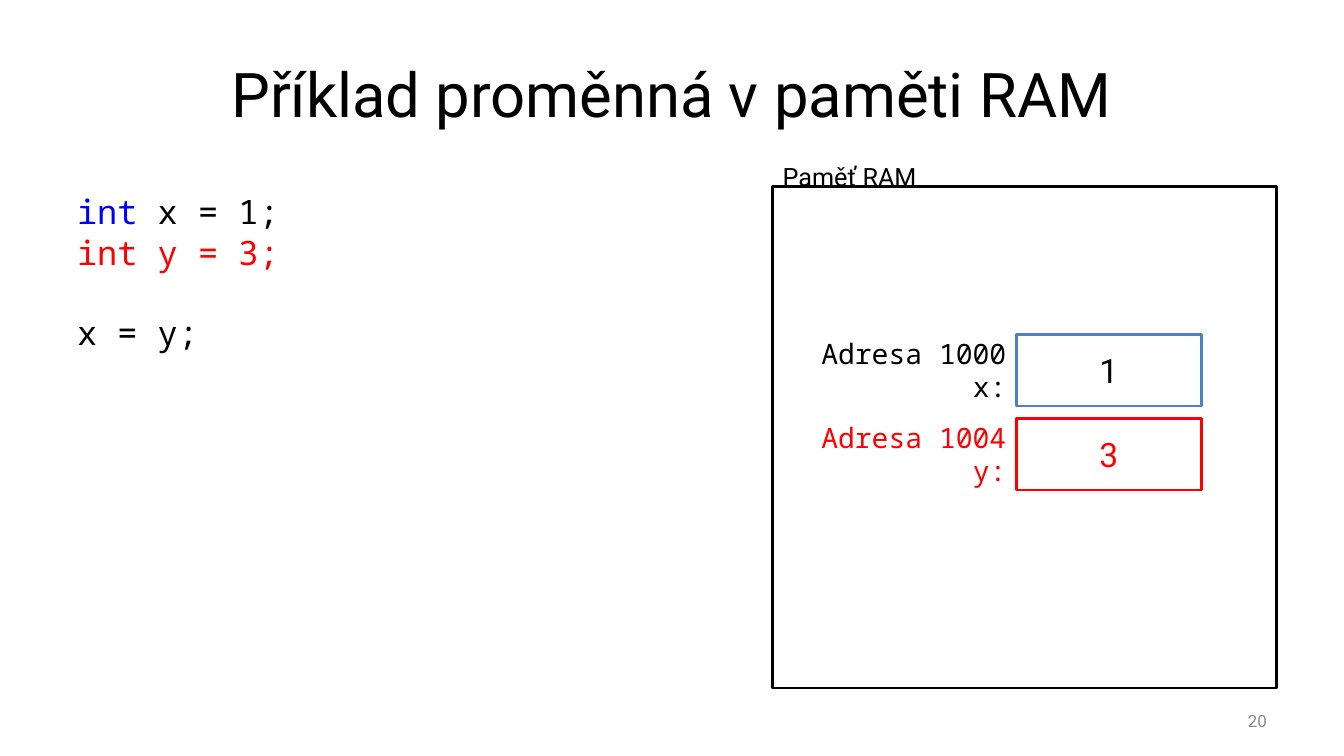
from dataclasses import dataclass
from typing import NamedTuple

from pptx import Presentation
from pptx.dml.color import RGBColor
from pptx.enum.shapes import MSO_SHAPE
from pptx.enum.text import MSO_ANCHOR, PP_ALIGN
from pptx.shapes.autoshape import Shape
from pptx.slide import Slide
from pptx.util import Pt

RECT = MSO_SHAPE.RECTANGLE
TOP, MIDDLE = MSO_ANCHOR.TOP, MSO_ANCHOR.MIDDLE
LEFT, CENTER, RIGHT = PP_ALIGN.LEFT, PP_ALIGN.CENTER, PP_ALIGN.RIGHT


@dataclass(frozen=True)
class Theme:
    sans: str = "Roboto"
    mono: str = "Noto Sans Mono"
    black: str = "000000"
    white: str = "FFFFFF"
    red: str = "FF0000"
    blue: str = "0000FF"
    steel: str = "4F81BD"
    gray: str = "8C8C8C"
    title: float = 44
    code: float = 24
    cell: float = 20
    label: float = 18
    page: float = 12
    line: float = 2


THEME = Theme()


class Box(NamedTuple):
    left: float
    top: float
    width: float
    height: float


class Run(NamedTuple):
    text: str
    color: str = THEME.black


class Line(NamedTuple):
    runs: list[Run]
    gap: float = 0


class Cell(NamedTuple):
    name: str
    place: int
    value: int
    color: str
    edge: str


CODE = [
    Line([Run("int", THEME.blue), Run(" x = 1;")]),
    Line([Run("int y = 3;", THEME.red)]),
    Line([Run("x = y;")], gap=28.8),
]
CELLS = [
    Cell("x", 1000, 1, THEME.black, THEME.steel),
    Cell("y", 1004, 3, THEME.red, THEME.red),
]
FIRST, STEP = 239, 60


def write(shape: Shape, lines: list[Line], *, size: float, font: str = THEME.sans,
          align: PP_ALIGN = LEFT, anchor: MSO_ANCHOR = MIDDLE) -> None:
    frame = shape.text_frame
    frame.word_wrap = True
    frame.vertical_anchor = anchor
    for index, line in enumerate(lines):
        para = frame.add_paragraph() if index else frame.paragraphs[0]
        para.alignment = align
        para.space_before = Pt(line.gap)
        for part in line.runs:
            run = para.add_run()
            run.text = part.text
            run.font.size = Pt(size)
            run.font.name = font
            run.font.color.rgb = RGBColor.from_string(part.color)


def add_text(slide: Slide, box: Box, lines: list[Line], **form) -> None:
    write(slide.shapes.add_textbox(*map(Pt, box)), lines, **form)


def add_rect(slide: Slide, box: Box, edge: str) -> Shape:
    shape = slide.shapes.add_shape(RECT, *map(Pt, box))
    shape.shadow.inherit = False
    shape.fill.solid()
    shape.fill.fore_color.rgb = RGBColor.from_string(THEME.white)
    shape.line.color.rgb = RGBColor.from_string(edge)
    shape.line.width = Pt(THEME.line)
    return shape


def add_cell(slide: Slide, cell: Cell, top: float) -> None:
    rect = add_rect(slide, Box(726, top, 132, 51), cell.edge)
    write(rect, [Line([Run(str(cell.value), cell.color)])],
          size=THEME.code, align=CENTER)
    label = [Line([Run(text, cell.color)])
             for text in (f"Adresa {cell.place}", f"{cell.name}:")]
    add_text(slide, Box(576, top - 2.5, 150, 55.5), label,
             size=THEME.cell, font=THEME.mono, align=RIGHT)


def main() -> None:
    deck = Presentation()
    deck.slide_width, deck.slide_height = Pt(960), Pt(540)
    slide = deck.slides.add_slide(deck.slide_layouts[6])
    add_text(slide, Box(48, 21.6, 864, 90),
             [Line([Run("Příklad proměnná v paměti RAM")])],
             size=THEME.title, align=CENTER)
    add_text(slide, Box(688, 500.5, 224, 28.8), [Line([Run("20", THEME.gray)])],
             size=THEME.page, align=RIGHT)
    add_rect(slide, Box(552, 133, 360, 358.5), THEME.black)
    add_text(slide, Box(552, 111.6, 134, 28.8), [Line([Run("Paměť RAM")])],
             size=THEME.label, anchor=TOP)
    for index, cell in enumerate(CELLS):
        add_cell(slide, cell, FIRST + index * STEP)
    add_text(slide, Box(48, 133, 427, 124), CODE,
             size=THEME.code, font=THEME.mono, anchor=TOP)
    deck.save("out.pptx")


if __name__ == "__main__":
    main()
